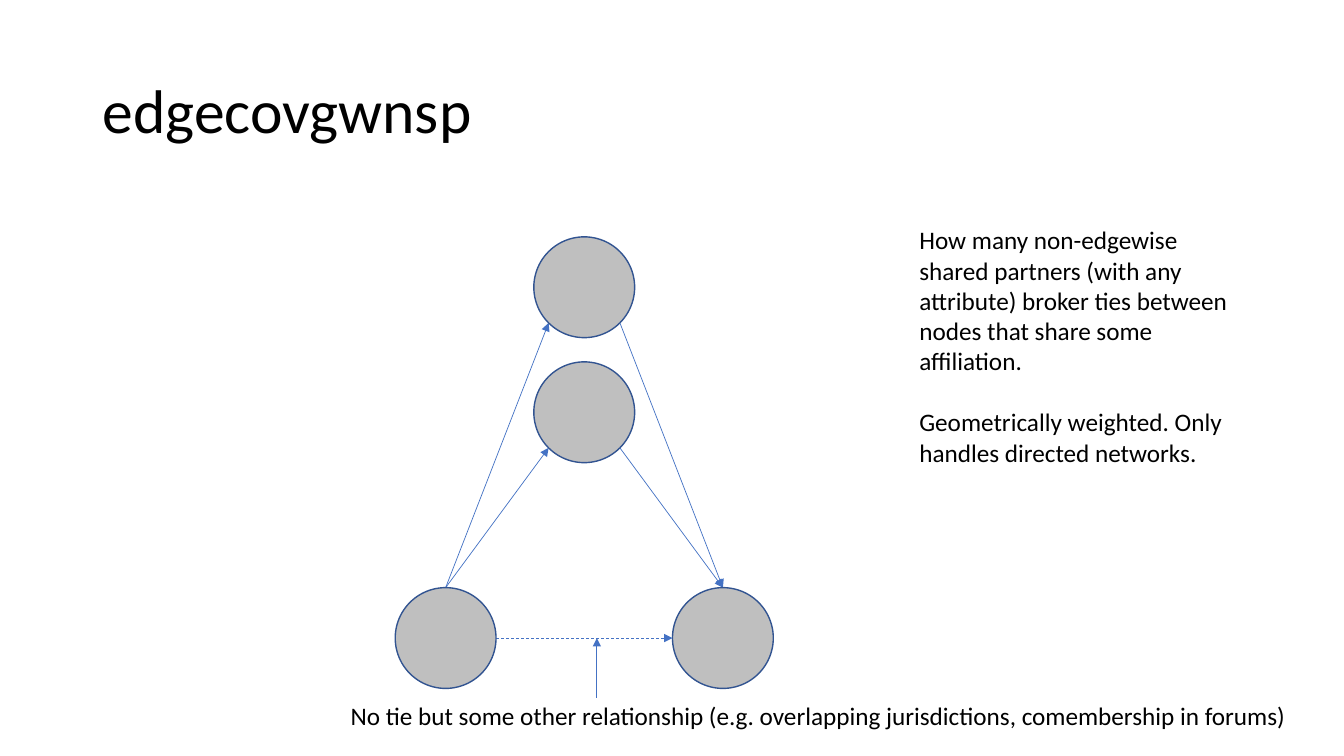
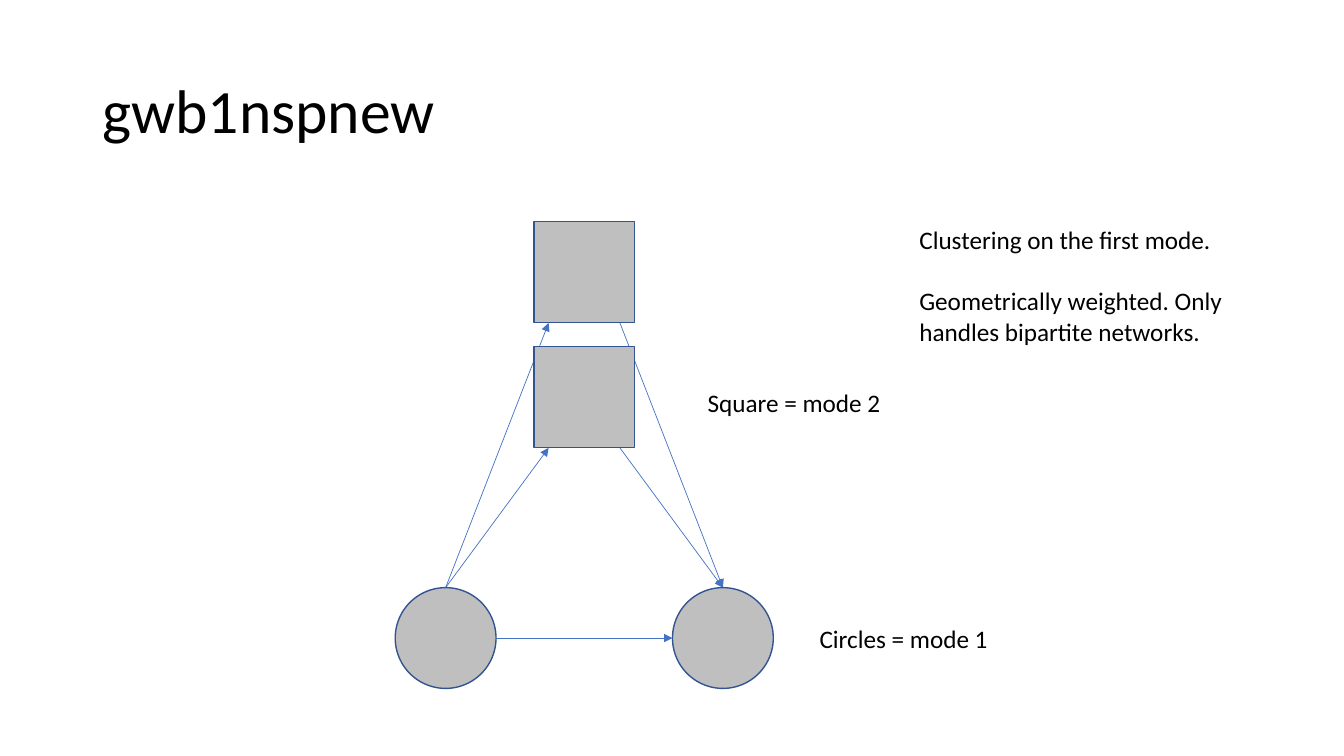
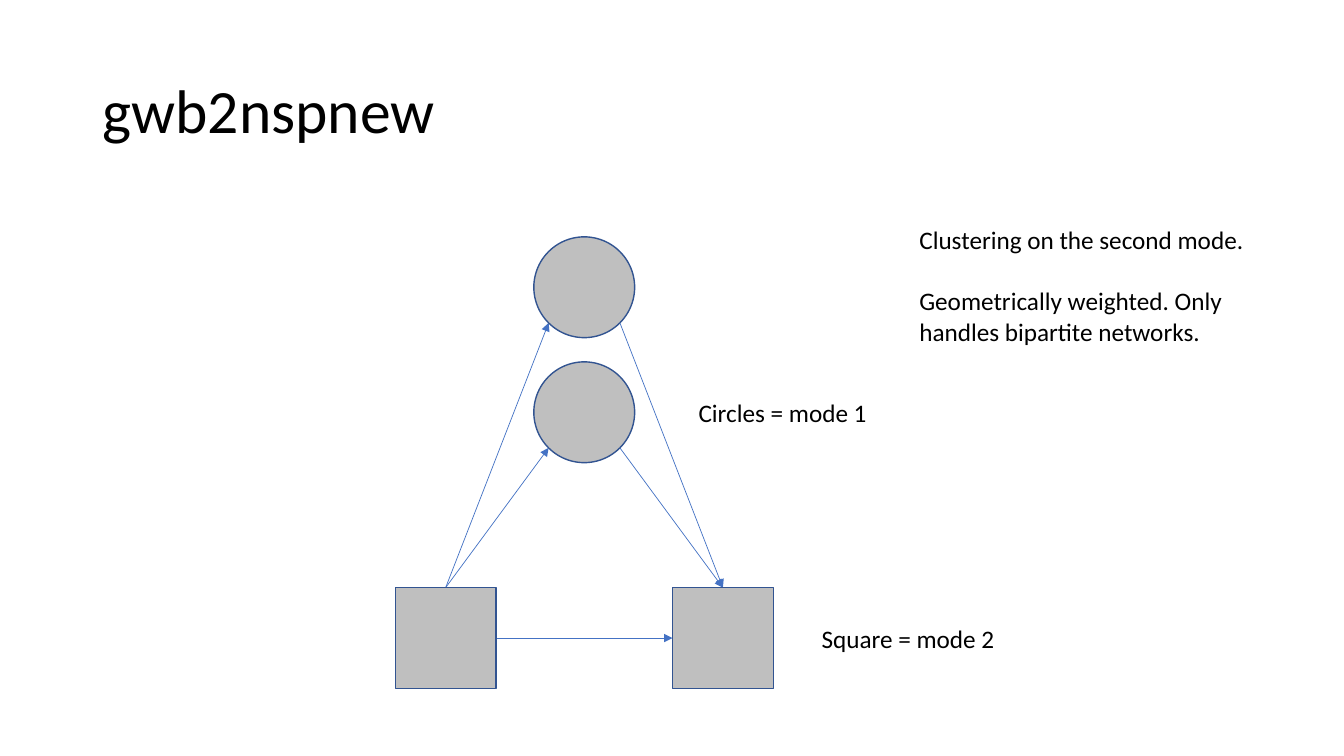
from math import sqrt

from pptx import Presentation
from pptx.dml.color import RGBColor
from pptx.enum.dml import MSO_LINE as Dash
from pptx.enum.shapes import MSO_CONNECTOR as Conn, MSO_SHAPE as Form
from pptx.enum.text import MSO_ANCHOR as Anchor, MSO_AUTO_SIZE as Fit
from pptx.oxml.ns import qn
from pptx.util import Inches, Pt
from lxml.etree import SubElement as Sub

# The grid: one cell is as wide and as high as one node.
CELL = Inches(1)
WIDE, HIGH = 13.33, 7.5

FONT = "Calibri"
BLACK, GREY, NAVY, BLUE = "000000", "BFBFBF", "325491", "4472C4"

# Nodes: two feet on the base row, two peaks above their middle.
FEET = (3.92, 6.67)
BASE = 5.83
PEAK = sum(FEET) / 2
PEAKS = (3.59, 2.35)
REACH = sqrt(0.5) / 2  # from a circle's centre to its diagonal points

CIRCLE, SQUARE = "Circles = mode 1", "Square = mode 2"
BIPART = "Geometrically weighted. Only handles bipartite networks."


def cells(*nums):
    """Turn grid cells into slide lengths."""
    return [round(num * CELL) for num in nums]


def paint(part, tint):
    """Give a fill, line or font format a solid hex colour."""
    part.rgb = RGBColor.from_string(tint)


def write(slide, text, box, size=18, tint=BLACK, wrap=True, gap=22,
          lead=None, anchor=Anchor.TOP, fit=Fit.SHAPE_TO_FIT_TEXT):
    """Add a text box with one paragraph for each line of text."""
    frame = slide.shapes.add_textbox(*cells(*box)).text_frame
    frame.word_wrap = wrap
    frame.auto_size = fit
    frame.vertical_anchor = anchor
    frame.text = text
    for num, para in enumerate(frame.paragraphs):
        para.line_spacing = lead
        para.space_before = Pt(gap if num else 0)
        para.font.size = Pt(size)
        para.font.name = FONT
        paint(para.font.color, tint)


def title(slide, text):
    """Add the slide's title."""
    write(slide, text, (0.92, 0.4, 11.5, 1.45), size=44, lead=0.9,
          anchor=Anchor.MIDDLE, fit=Fit.NONE)


def label(slide, text, left, top, width):
    """Add a label on a single line."""
    write(slide, text, (left, top, width, 0.4), wrap=False)


def node(slide, form, left, top):
    """Add a node that fills one cell."""
    shape = slide.shapes.add_shape(form, *cells(left, top, 1, 1))
    shape.shadow.inherit = False
    shape.fill.solid()
    paint(shape.fill.fore_color, GREY)
    paint(shape.line.color, NAVY)
    shape.line.width = Pt(1)


def arrow(slide, start, end, dash=None):
    """Add a thin arrow between two points."""
    link = slide.shapes.add_connector(Conn.STRAIGHT, *cells(*start, *end))
    paint(link.line.color, BLUE)
    link.line.width = Pt(0.5)
    if dash:
        link.line.dash_style = dash
    Sub(link.line._get_or_add_ln(), qn("a:tailEnd"), type="triangle")
    Sub(link._element.spPr, qn("a:effectLst"))


def links(slide, dash=None):
    """Join the feet to each other and, by way of the peaks, once more."""
    left, right = FEET
    mid = PEAK + 0.5
    arrow(slide, (left + 1, BASE + 0.5), (right, BASE + 0.5), dash)
    for top in PEAKS:
        low = top + 0.5 + REACH
        arrow(slide, (left + 0.5, BASE), (mid - REACH, low))
        arrow(slide, (mid + REACH, low), (right + 0.5, BASE))


def graph(slide, foot, peak, lift=0, dash=None):
    """Draw the network; lift raises the peaks above their usual rows."""
    links(slide, dash)
    for left in FEET:
        node(slide, foot, left, BASE)
    for top in PEAKS:
        node(slide, peak, PEAK, top - lift)


def page(deck, name, note, width=3.4, height=1.31):
    """Add a blank slide with its title and its note on the right."""
    slide = deck.slides.add_slide(deck.slide_layouts[6])
    title(slide, name)
    write(slide, note, (9.02, 2.18, width, height))
    return slide


def main():
    """Build the slides and save them."""
    deck = Presentation()
    deck.slide_width, deck.slide_height = cells(WIDE, HIGH)

    slide = page(deck, "edgecovgwnsp",
                 "How many non-edgewise shared partners (with any attribute) "
                 "broker ties between nodes that share some affiliation.\n"
                 "Geometrically weighted. Only handles directed networks.",
                 height=2.52)
    graph(slide, Form.OVAL, Form.OVAL, dash=Dash.DASH)
    label(slide, "No tie but some other relationship (e.g. overlapping "
          "jurisdictions, comembership in forums)", 3.38, 6.9, 9.59)
    arrow(slide, (5.92, 6.92), (5.92, BASE + 0.5))

    slide = page(deck, "gwb1nspnew",
                 "Clustering on the first mode.\n" + BIPART)
    graph(slide, Form.OVAL, Form.RECTANGLE, lift=0.15)
    label(slide, CIRCLE, 8.03, 6.13, 1.89)
    label(slide, SQUARE, 6.92, 3.79, 1.94)

    slide = page(deck, "gwb2nspnew",
                 "Clustering on the second mode.\n" + BIPART, width=3.56)
    graph(slide, Form.RECTANGLE, Form.OVAL)
    label(slide, CIRCLE, 6.83, 3.89, 1.89)
    label(slide, SQUARE, 8.05, 6.13, 1.94)

    deck.save("out.pptx")


main()
